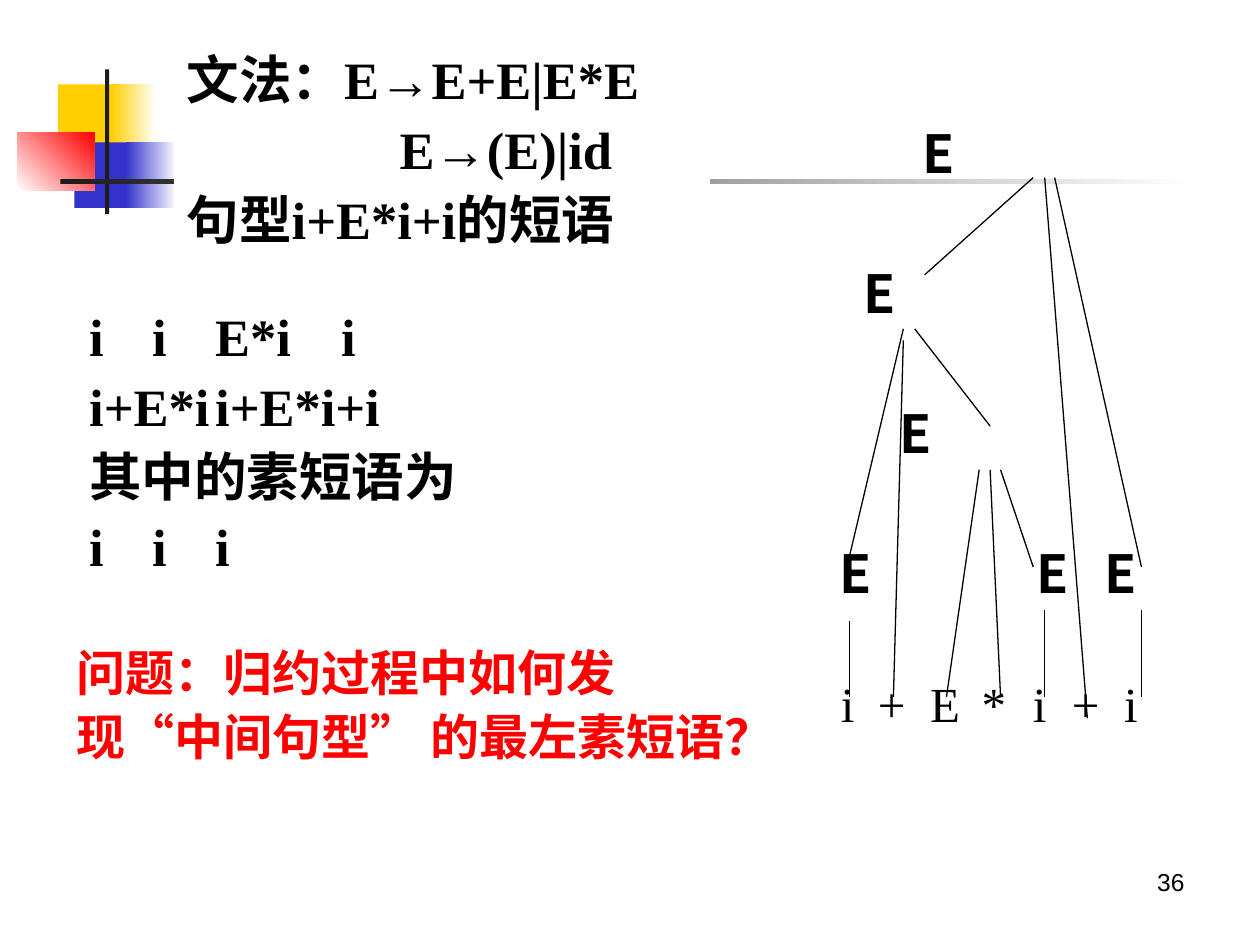
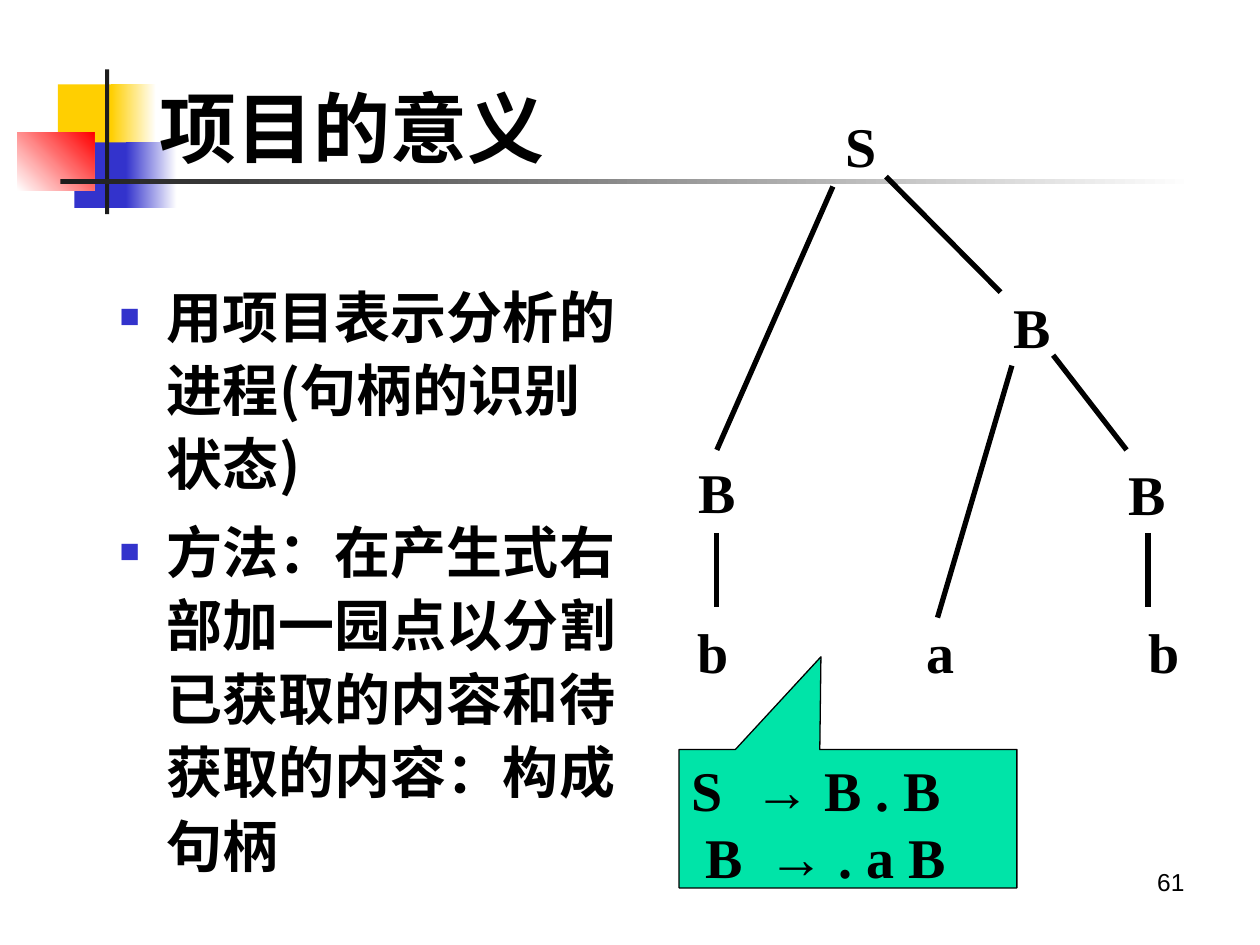
"""Build two slides on parsing: prime phrases and the meaning of items."""
import lxml.etree
import pptx
import pptx.dml.color
import pptx.enum.shapes
import pptx.enum.text
import pptx.oxml.ns
import pptx.util

Cm = pptx.util.Cm
Pt = pptx.util.Pt
RECTANGLE = pptx.enum.shapes.MSO_SHAPE.RECTANGLE
ALIGN = pptx.enum.text.PP_ALIGN
ANCHOR = pptx.enum.text.MSO_ANCHOR

SERIF, SANS = "Times New Roman", "Noto Sans CJK SC"
BLACK, WHITE, RED, GREEN = "000000", "FFFFFF", "FF0000", "00E4A8"
YELLOW, BLUE, CHARCOAL = "FFCF01", "3333CC", "1C1C1C"

TITLE = {"name": SERIF, "size": Pt(44), "bold": True}
GRAMMAR = {"name": SERIF, "size": Pt(30), "bold": True}
NODE = {"name": SANS, "size": Pt(30), "bold": True}
LEAF = {"name": SERIF, "size": Pt(28), "bold": False}
QUESTION = {"name": SANS, "size": Pt(28), "bold": True}
BULLET = {"name": SANS, "size": Pt(32), "bold": True}
SYMBOL = {"name": SERIF, "size": Pt(32), "bold": True}
NUMBER = {"name": "Arial", "size": Pt(14), "bold": False}
GRAMMAR_LINES = {"line_spacing": Pt(32.5)}


def color(value):
    """Turn a hex string into a colour."""
    return pptx.dml.color.RGBColor.from_string(value)


def set_attributes(target, values):
    """Set each named value on the target."""
    for name, value in values.items():
        setattr(target, name, value)


def add_element(parent, tag, **attributes):
    """Append a drawing element with its attributes."""
    return lxml.etree.SubElement(parent, pptx.oxml.ns.qn(tag), **attributes)


def place(shape, left, top, width, height):
    """Move and size a shape in centimetres."""
    set_attributes(shape, {"left": Cm(left), "top": Cm(top),
                           "width": Cm(width), "height": Cm(height)})


def mark_paragraph(paragraph, margin, tabs, bullet):
    """Set the margin, tab stops and bullet of a paragraph."""
    properties = paragraph._p.get_or_add_pPr()
    properties.set("marL", str(Cm(margin)))
    properties.set("indent", str(Cm(-0.95 if bullet else 0)))
    if bullet:
        bullet_color = add_element(properties, "a:buClr")
        add_element(bullet_color, "a:srgbClr", val=BLUE)
        add_element(properties, "a:buSzPct", val="60000")
        add_element(properties, "a:buChar", char="■")
    else:
        add_element(properties, "a:buNone")
    if tabs:
        stops = add_element(properties, "a:tabLst")
        for position in tabs:
            add_element(stops, "a:tab", pos=str(Cm(position)), algn="l")


def write(shape, lines, font, spacing=None, gap=0, ink=BLACK, bullet=False,
          anchor=ANCHOR.TOP, wrap=True):
    """Fill a shape with lines given as (text, margin, tab stops)."""
    frame = shape.text_frame
    set_attributes(frame, {"word_wrap": wrap, "vertical_anchor": anchor,
                           "auto_size": pptx.enum.text.MSO_AUTO_SIZE.NONE})
    for index, (text, margin, tabs) in enumerate(lines):
        paragraph = frame.add_paragraph() if index else frame.paragraphs[0]
        mark_paragraph(paragraph, margin, tabs, bullet)
        layout = {"alignment": ALIGN.LEFT, "space_before": Pt(gap if index else 0)}
        set_attributes(paragraph, layout | (spacing or {}))
        run = paragraph.add_run()
        run.text = text
        set_attributes(run.font, font)
        run.font.color.rgb = color(ink)
        add_element(run._r.get_or_add_rPr(), "a:ea", typeface=SANS)


def add_text(slide, box, lines, font, **options):
    """Add a text box."""
    shape = slide.shapes.add_textbox(0, 0, 0, 0)
    place(shape, *box)
    write(shape, lines, font, **options)


def add_labels(slide, labels, font, spacing=None):
    """Add the symbols of a tree, each given as (text, left, top)."""
    for text, left, top in labels:
        add_text(slide, (left, top, 1.3, 1.63), [(text, 0, ())], font,
                 spacing=spacing, wrap=False)


def add_branches(slide, branches, width):
    """Add tree branches, each given as (x1, y1, x2, y2)."""
    for ends in branches:
        line = slide.shapes.add_connector(
            pptx.enum.shapes.MSO_CONNECTOR.STRAIGHT, *map(Cm, ends))
        line.line.width = Pt(width)
        line.line.color.rgb = color(BLACK)
        add_element(line._element.spPr, "a:effectLst")


def add_block(slide, box, fill, fade=None, angle=0):
    """Add a borderless rectangle, plain or fading to a second colour."""
    shape = slide.shapes.add_shape(RECTANGLE, *map(Cm, box))
    shape.shadow.inherit = False
    shape.line.fill.background()
    if fade:
        shape.fill.gradient()
        shape.fill.gradient_angle = angle
        for stop, value in zip(shape.fill.gradient_stops, (fill, fade)):
            stop.color.rgb = color(value)
    else:
        shape.fill.solid()
        shape.fill.fore_color.rgb = color(fill)
    return shape


def decorate_layout(slide):
    """Give the slide's layout the coloured blocks and the title rule."""
    blocks = [
        ((1.17, 1.7, 1.22, 1.32), YELLOW),
        ((2.24, 1.7, 0.91, 1.32), YELLOW, WHITE),
        ((1.5, 2.87, 1.17, 1.32), BLUE),
        ((2.54, 2.87, 1.02, 1.32), BLUE, WHITE),
        ((0.35, 2.67, 1.55, 1.17), WHITE, RED, 45),
        ((2.12, 1.4, 0.08, 2.92), CHARCOAL),
        ((1.22, 3.61, 22.86, 0.1), CHARCOAL, WHITE),
    ]
    tree = slide.slide_layout.shapes.element
    for number, block in enumerate(blocks, 101):
        element = add_block(slide, *block)._element
        element.nvSpPr.cNvPr.set("id", str(number))
        tree.append(element)


def add_number(slide, number):
    """Add the slide number."""
    add_text(slide, (18.21, 17.35, 5.92, 1.32), [(number, 0, ())], NUMBER,
             spacing={"alignment": ALIGN.RIGHT})


def build_phrases(slide):
    """Build the slide on phrases and prime phrases."""
    title, body = slide.placeholders
    title._element.getparent().remove(title._element)
    place(body, 3.51, 0.95, 10.8, 4.85)
    body.fill.solid()
    body.fill.fore_color.rgb = color(WHITE)
    write(body, [("文法：E→E+E|E*E", 0, ()),
                 ("E→(E)|id", 4.29, ()),
                 ("句型i+E*i+i的短语", 0, ())],
          GRAMMAR, spacing=GRAMMAR_LINES, gap=7.5)

    first_row, row_step, leaf_row = 2.44, 2.82, 13.5
    nodes = [(18.35, 0), (17.16, 1), (17.89, 2), (16.68, 3), (20.65, 3), (22.02, 3)]
    add_labels(slide, [("E", left, first_row + row * row_step) for left, row in nodes],
               NODE, GRAMMAR_LINES)
    leaf_lefts = (16.7, 17.45, 18.5, 19.54, 20.57, 21.36, 22.41)
    add_labels(slide, [(text, left, leaf_row) for text, left in zip("i+E*i+i", leaf_lefts)],
               LEAF, GRAMMAR_LINES)
    leaf_top = 14.05
    add_branches(slide, [
        (17.12, leaf_top, 17.12, 12.52), (21.06, leaf_top, 21.06, 12.3),
        (23.01, leaf_top, 23.01, 12.3), (19.08, leaf_top, 19.74, 9.47),
        (20.17, leaf_top, 19.96, 9.47), (20.83, 11.43, 20.17, 9.47),
        (17.12, 11.23, 18.21, 6.63), (18.01, leaf_top, 18.21, 6.86),
        (19.96, 8.59, 18.44, 6.63), (21.92, 14.48, 21.06, 3.58),
        (18.64, 5.54, 20.83, 3.58), (23.01, 11.43, 21.26, 3.58),
    ], 0.75)

    add_text(slide, (1.3, 12.7, 13.77, 4.17),
             [("问题：归约过程中如何发现“中间句型” 的最左素短语？", 0, ())],
             QUESTION, spacing={"line_spacing": Pt(37)}, ink=RED)
    add_text(slide, (1.55, 6.12, 10.16, 5.28),
             [("i\ti\tE*i\ti", 0, (1.34, 2.69, 4.75)),
              ("i+E*i\ti+E*i+i", 0, (3.47,)),
              ("其中的素短语为", 0, ()),
              ("i\ti\ti", 0, (1.61, 3.22))],
             GRAMMAR, spacing=GRAMMAR_LINES, gap=7.5)
    add_number(slide, "36")


def build_items(slide):
    """Build the slide on the meaning of items."""
    title, body = slide.placeholders
    place(title, 2.97, 0.97, 8.69, 3.18)
    write(title, [("项目的意义", 0, ())], TITLE, anchor=ANCHOR.MIDDLE)
    place(body, 1.9, 5.44, 10.97, 11.38)
    write(body, [("用项目表示分析的进程(句柄的识别状态)", 1.21, ()),
                 ("方法：在产生式右部加一园点以分割已获取的内容和待获取的内容：构成句柄", 1.21, ())],
          BULLET, spacing={"line_spacing": Pt(42)}, gap=8, bullet=True)

    leaf_row = 12.32
    add_labels(slide, [
        ("S", 16.79, 2.13), ("B", 20.19, 5.77), ("B", 13.84, 9.09), ("B", 22.5, 9.14),
        ("b", 13.82, leaf_row), ("a", 18.42, leaf_row), ("b", 22.91, leaf_row),
    ], SYMBOL)
    add_branches(slide, [
        (14.45, 10.74, 14.45, 12.24), (23.14, 10.74, 23.14, 12.24),
        (16.79, 3.76, 14.45, 9.07), (20.4, 7.37, 18.9, 12.45),
        (21.23, 7.16, 22.71, 9.07), (17.86, 3.56, 20.17, 5.89),
    ], 3)

    callout = slide.shapes.add_shape(
        pptx.enum.shapes.MSO_SHAPE.RECTANGULAR_CALLOUT,
        *map(Cm, (13.69, 15.11, 6.81, 2.79)))
    callout.adjustments[0], callout.adjustments[1] = -0.08, -1.17
    callout.shadow.inherit = False
    callout.fill.solid()
    callout.fill.fore_color.rgb = color(GREEN)
    callout.line.color.rgb = color(BLACK)
    callout.line.width = Pt(0.75)
    write(callout, [("S\t→ B . B", 0, (1.19,)), ("B\t→ . a B", 0.28, (1.59,))], SYMBOL)
    add_number(slide, "61")


def main():
    """Create and save the presentation."""
    presentation = pptx.Presentation()
    presentation.slide_width, presentation.slide_height = Cm(25.4), Cm(19.05)
    layout = presentation.slide_layouts[1]
    phrases, items = [presentation.slides.add_slide(layout) for _ in range(2)]
    decorate_layout(phrases)
    build_phrases(phrases)
    build_items(items)
    presentation.save("out.pptx")


if __name__ == "__main__":
    main()
